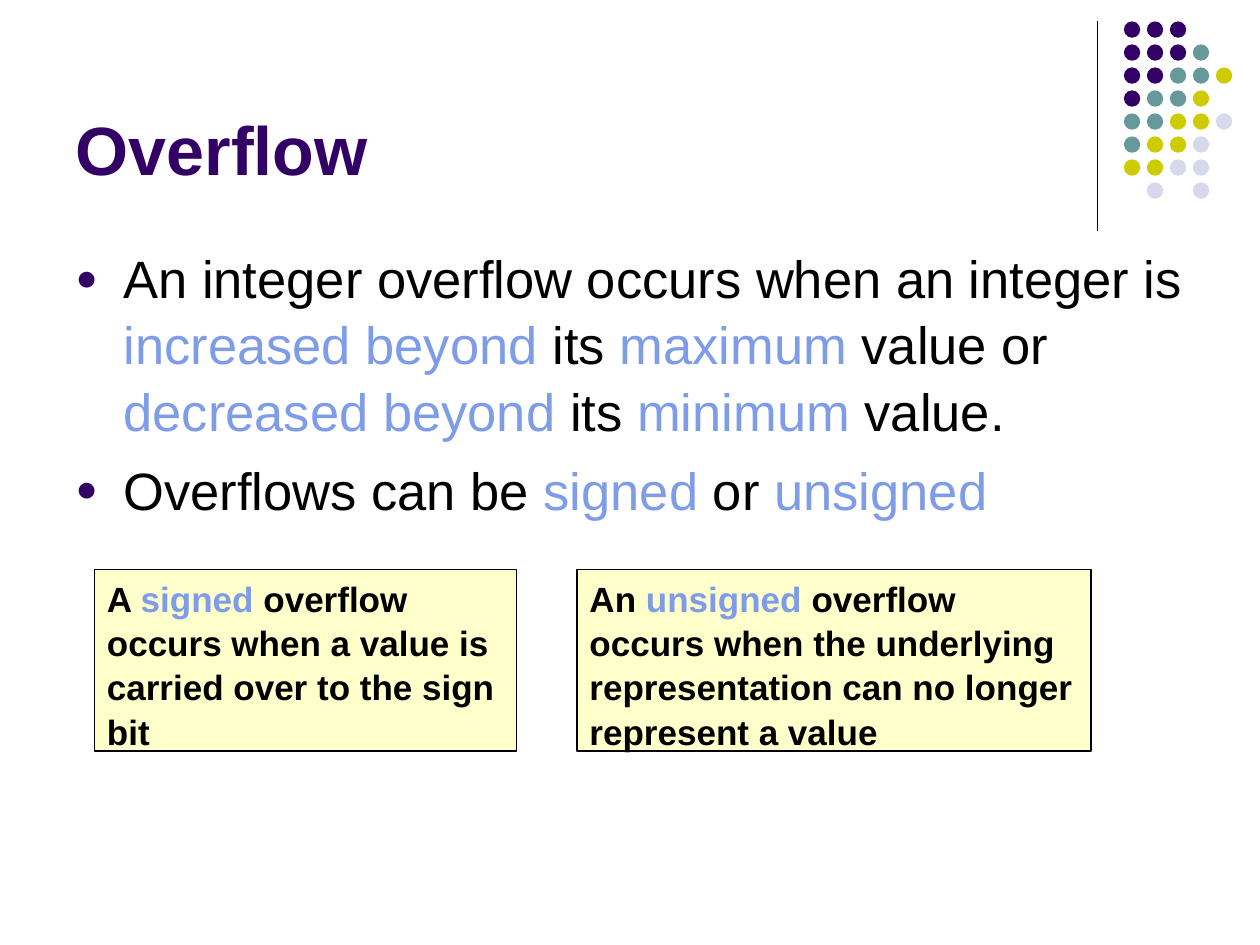
from dataclasses import dataclass

from lxml.etree import SubElement
from pptx import Presentation
from pptx.dml.color import RGBColor
from pptx.enum.shapes import MSO_CONNECTOR, MSO_SHAPE
from pptx.enum.text import MSO_ANCHOR, MSO_AUTO_SIZE, PP_ALIGN
from pptx.oxml.ns import qn
from pptx.util import Inches, Pt

PURPLE = RGBColor(0x33, 0x00, 0x66)
TEAL = RGBColor(0x66, 0x99, 0x99)
OLIVE = RGBColor(0xCC, 0xCC, 0x00)
LAVENDER = RGBColor(0xD8, 0xD8, 0xEC)
BLUE = RGBColor(0x7E, 0x9C, 0xE8)
CREAM = RGBColor(0xFF, 0xFF, 0xCC)
BLACK = RGBColor(0x00, 0x00, 0x00)
WHITE = RGBColor(0xFF, 0xFF, 0xFF)

# One letter per dot, a space for a gap
DOT_COLORS = {"P": PURPLE, "T": TEAL, "O": OLIVE, "L": LAVENDER}
DOT_ROWS = ["PPP", "PPPT", "PPTTO", "PTTO", "TTOOL", "TOOL", "OOLL", " L L"]
DOT_LEFT, DOT_TOP, DOT_SIZE = 8.92, 0.17, 0.13
DOT_PITCH = 0.73 / 4

TITLE_FORMAT = {"name": "Arial", "size": Pt(39), "bold": True}
BODY_FORMAT = {"name": "Arial", "size": Pt(30), "bold": False}
NOTE_FORMAT = {"name": "Arial", "size": Pt(20), "bold": True}

# Text between bars is highlighted
BULLETS = [
    "An integer overflow occurs when an integer is |increased beyond| its "
    "|maximum| value or |decreased beyond| its |minimum| value.",
    "Overflows can be |signed| or |unsigned|",
]


@dataclass
class Note:
    left: float
    width: float
    text: str


NOTES = [
    Note(0.75, 3.35, "A |signed| overflow occurs when a value is carried over "
                     "to the sign bit"),
    Note(4.58, 4.08, "An |unsigned| overflow occurs when the underlying "
                     "representation can no longer represent a value"),
]


def place(box, left: float, top: float, width: float, height: float) -> None:
    box.left, box.top = Inches(left), Inches(top)
    box.width, box.height = Inches(width), Inches(height)


def write_spans(para, text: str, text_format: dict, color=BLACK) -> None:
    para.alignment = PP_ALIGN.LEFT
    para.line_spacing = 1.05
    for index, piece in enumerate(text.split("|")):
        if not piece:
            continue
        span = para.add_run()
        span.text = piece
        for name, value in text_format.items():
            setattr(span.font, name, value)
        span.font.color.rgb = BLUE if index % 2 else color


def add_bullet(para) -> None:
    properties = para._p.get_or_add_pPr()
    properties.set("marL", str(Inches(0.38)))
    properties.set("indent", str(-Inches(0.38)))
    color = SubElement(properties, qn("a:buClr"))
    SubElement(color, qn("a:srgbClr"), val=str(PURPLE))
    SubElement(properties, qn("a:buSzPct"), val="70000")
    SubElement(properties, qn("a:buFont"), typeface="Arial")
    SubElement(properties, qn("a:buChar"), char="●")


def add_dots(page) -> None:
    group = page.shapes.add_group_shape()
    for row, letters in enumerate(DOT_ROWS):
        for column, letter in enumerate(letters):
            if letter == " ":
                continue
            dot = group.shapes.add_shape(
                MSO_SHAPE.OVAL,
                Inches(DOT_LEFT + column * DOT_PITCH),
                Inches(DOT_TOP + row * DOT_PITCH),
                Inches(DOT_SIZE), Inches(DOT_SIZE))
            dot.shadow.inherit = False
            dot.fill.solid()
            dot.fill.fore_color.rgb = DOT_COLORS[letter]
            dot.line.fill.background()


def add_note(page, note: Note) -> None:
    box = page.shapes.add_shape(
        MSO_SHAPE.RECTANGLE, Inches(note.left), Inches(4.52),
        Inches(note.width), Inches(1.44))
    box.shadow.inherit = False
    box.fill.solid()
    box.fill.fore_color.rgb = CREAM
    box.line.color.rgb = BLACK
    box.line.width = Pt(1)
    frame = box.text_frame
    frame.word_wrap = True
    frame.auto_size = MSO_AUTO_SIZE.SHAPE_TO_FIT_TEXT
    frame.vertical_anchor = MSO_ANCHOR.TOP
    write_spans(frame.paragraphs[0], note.text, NOTE_FORMAT)


def main() -> None:
    deck = Presentation()
    deck.slide_width, deck.slide_height = Inches(10), Inches(7.5)
    page = deck.slides.add_slide(deck.slide_layouts[1])
    page.background.fill.solid()
    page.background.fill.fore_color.rgb = WHITE

    # Corner decoration
    rule = page.shapes.add_connector(
        MSO_CONNECTOR.STRAIGHT, Inches(8.71), Inches(0.17),
        Inches(8.71), Inches(1.83))
    rule.line.color.rgb = BLACK
    rule.line.width = Pt(0.75)
    SubElement(rule._element.spPr, qn("a:effectLst"))
    add_dots(page)

    # Title
    title = page.shapes.title
    place(title, 0.5, 0.13, 8.25, 1.42)
    title.text_frame.auto_size = MSO_AUTO_SIZE.NONE
    title.text_frame.vertical_anchor = MSO_ANCHOR.BOTTOM
    write_spans(title.text_frame.paragraphs[0], "Overflow", TITLE_FORMAT, PURPLE)

    # Bulleted list
    body = page.placeholders[1]
    place(body, 0.5, 1.88, 9, 4.82)
    frame = body.text_frame
    frame.auto_size = MSO_AUTO_SIZE.NONE
    for index, text in enumerate(BULLETS):
        para = frame.add_paragraph() if index else frame.paragraphs[0]
        add_bullet(para)
        para.space_before = Pt(7.5 if index else 0)
        write_spans(para, text, BODY_FORMAT)

    # Definitions
    for note in NOTES:
        add_note(page, note)

    deck.save("out.pptx")


if __name__ == "__main__":
    main()
